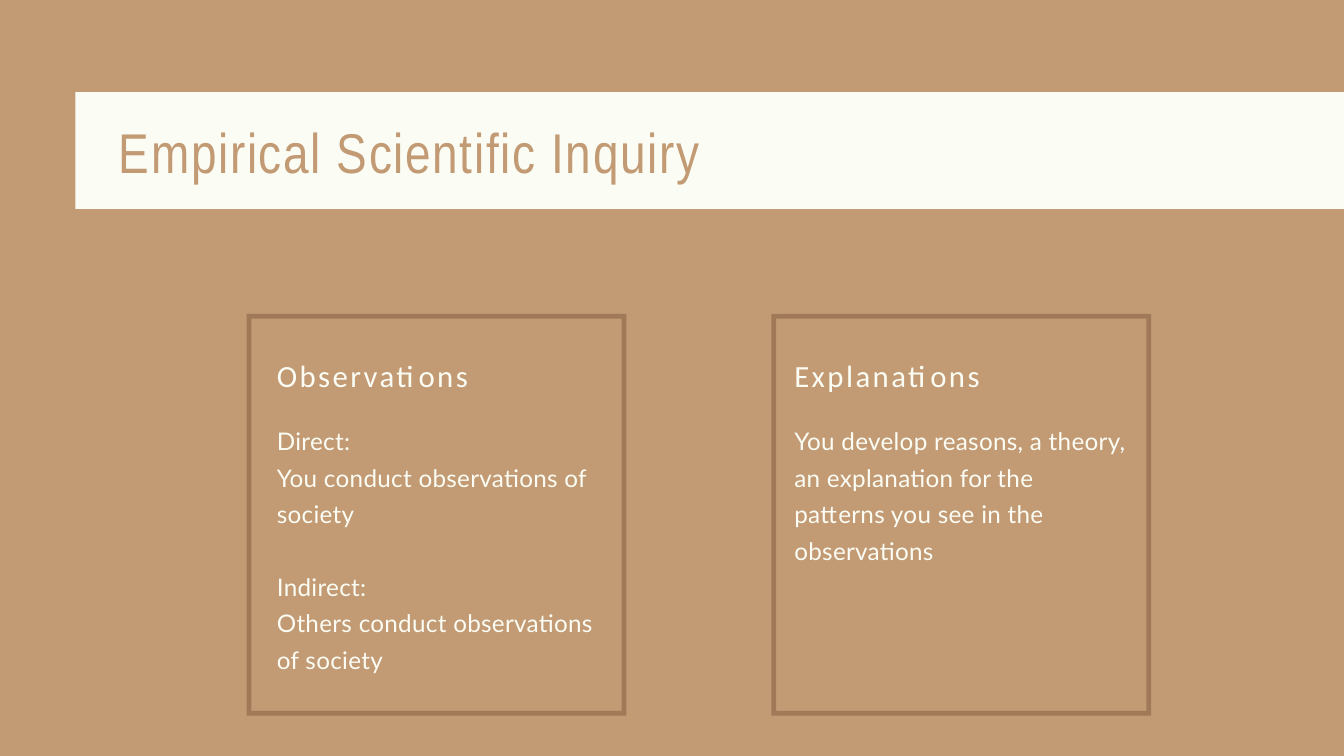
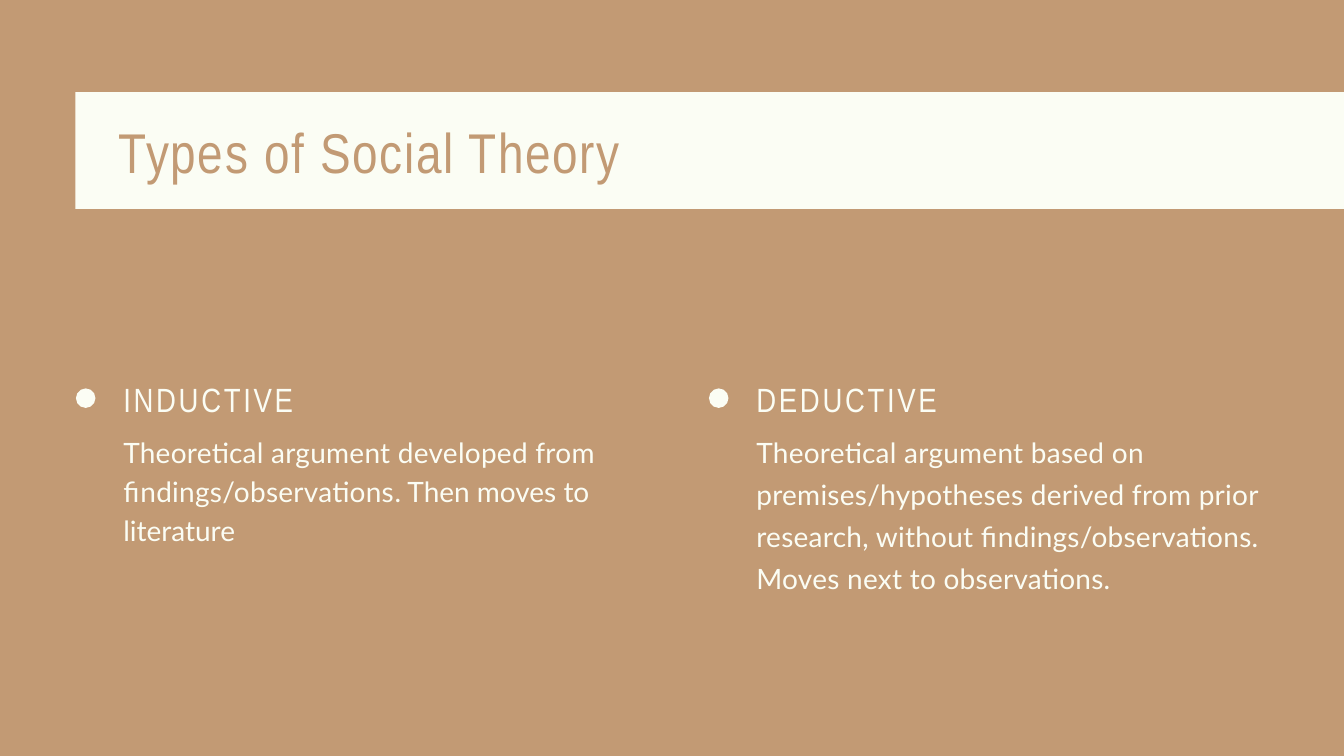
from dataclasses import dataclass

from lxml import etree
from pptx import Presentation
from pptx import util as u
from pptx.dml.color import RGBColor
from pptx.enum import shapes, text
from pptx.oxml import ns

# Grid: 80 columns by 45 rows of square cells
COLS, ROWS = 80, 45
CELL = u.Inches(0.25)

# Shared colours and fonts
SAND, IVORY, BROWN = "C29A74", "FBFDF4", "532E1D"
NARROW, SANS, BODY = "Arial Narrow", "Calibri", "Lato"
COMPARISON_LAYOUT = 4  # a title, then two pairs of heading and body


@dataclass
class Box:
    col: float
    row: float
    cols: float
    rows: float

    def emu(self) -> list[int]:
        return [round(n * CELL) for n in (self.col, self.row, self.cols, self.rows)]


@dataclass
class Style:
    font: str
    size: float
    leading: float
    tracking: float
    colour: str = IVORY


@dataclass
class Para:
    text: str
    tail: str = ""  # closing words set without tracking
    before: float = 0


@dataclass
class Column:
    heading: str
    paras: list[Para]
    heading_box: Box
    body_box: Box
    body_style: Style
    marker: Box  # the frame or dot beside the text


BAND = Box(4.48, 5.48, COLS - 4.48, 6.96)
TITLE_BOX = Box(7.08, 6.52, 65, 4.28)
TITLE = Style(NARROW, 60, 81, 1.8, SAND)
CARD_HEADING = Style(SANS, 33, 42.9, 2.6)
CARD_BODY = Style(BODY, 26, 39, 0.3)
TYPE_HEADING = Style(NARROW, 36, 46.8, 2.9)


def paint(fill, colour: str, opacity: float = 1) -> None:
    fill.solid()
    fill.fore_color.rgb = RGBColor.from_string(colour)
    if opacity < 1:
        clr = fill._xPr.find(".//" + ns.qn("a:srgbClr"))
        etree.SubElement(clr, ns.qn("a:alpha"), val=str(round(opacity * 100000)))


def add_mark(s, kind, box: Box, colour: str, opacity: float = 1):
    """Draw a preset shape without outline, behind the text."""
    sp = s.shapes.add_shape(kind, *box.emu())
    sp.shadow.inherit = False
    sp.line.fill.background()
    paint(sp.fill, colour, opacity)
    s.shapes.title._element.addprevious(sp._element)
    return sp


def add_run(p, words: str, *, style: Style, tracking: float) -> None:
    r = p.add_run()
    r.text = words
    r.font.name, r.font.size, r.font.bold = style.font, u.Pt(style.size), False
    r.font.color.rgb = RGBColor.from_string(style.colour)
    r.font._element.set("spc", str(round(tracking * 100)))


def write(sp, paras: list[Para], *, box: Box, style: Style) -> None:
    """Place a placeholder and fill it with plain, left-aligned paragraphs."""
    sp.left, sp.top, sp.width, sp.height = box.emu()
    tf = sp.text_frame
    tf.word_wrap = True
    tf.auto_size = text.MSO_AUTO_SIZE.NONE
    tf.vertical_anchor = text.MSO_ANCHOR.TOP
    tf.margin_left = tf.margin_top = tf.margin_right = tf.margin_bottom = 0
    for i, para in enumerate(paras):
        p = tf.add_paragraph() if i else tf.paragraphs[0]
        pPr = p._p.get_or_add_pPr()
        pPr.set("marL", "0")
        pPr.set("indent", "0")
        etree.SubElement(pPr, ns.qn("a:buNone"))
        p.alignment = text.PP_ALIGN.LEFT
        p.line_spacing = u.Pt(style.leading)
        p.space_before, p.space_after = u.Pt(para.before), u.Pt(0)
        add_run(p, para.text, style=style, tracking=style.tracking)
        if para.tail:
            add_run(p, para.tail, style=style, tracking=0)


def add_slide(prs, title: str, columns: list[Column], heading_style: Style):
    """Add the title band and both text columns."""
    s = prs.slides.add_slide(prs.slide_layouts[COMPARISON_LAYOUT])
    add_mark(s, shapes.MSO_SHAPE.RECTANGLE, BAND, IVORY)
    write(s.shapes.title, [Para(title)], box=TITLE_BOX, style=TITLE)
    for i, c in enumerate(columns):
        heading, body = s.placeholders[2 * i + 1], s.placeholders[2 * i + 2]
        write(heading, [Para(c.heading)], box=c.heading_box, style=heading_style)
        write(body, c.paras, box=c.body_box, style=c.body_style)
    return s


def card(heading: str, paras: list[Para], *, frame_col: float, text_col: float,
         rows: float) -> Column:
    return Column(heading, paras, Box(text_col, 21.04, 19.8, 2.28),
                  Box(text_col, 24.96, 19.8, rows), CARD_BODY,
                  Box(frame_col, 18.68, 22.6, 23.92))


def theory(heading: str, para: Para, *, dot_col: float, body_row: float,
           rows: float, leading: float) -> Column:
    text_col = dot_col + 2.82
    return Column(heading, [para], Box(text_col, 22.36, 30.48, 2.52),
                  Box(text_col, body_row, 30.48, rows),
                  Style(BODY, 30, leading, 0.3),
                  Box(dot_col, 23.12, 1.16, 1.16))


def inquiry_slide(prs) -> None:
    cards = [
        card("Observations", [
            Para("Direct:"),
            Para("You conduct observations of society"),
            Para("Indirect:", before=CARD_BODY.leading),
            Para("Others conduct observations of society"),
        ], frame_col=14.68, text_col=16.48, rows=15),
        card("Explanations", [
            Para("You develop reasons, a theory, an explanation for the "
                 "patterns you see in the observations"),
        ], frame_col=45.92, text_col=47.28, rows=8.52),
    ]
    s = add_slide(prs, "Empirical Scientific Inquiry", cards, CARD_HEADING)
    for c in cards:
        frame = add_mark(s, shapes.MSO_SHAPE.FRAME, c.marker, BROWN, opacity=0.3)
        frame.adjustments[0] = 0.28 / c.marker.cols


def theory_slide(prs) -> None:
    theories = [
        theory("INDUCTIVE", Para(
            "Theoretical argument developed from findings/observations",
            tail=". Then moves to literature"),
            dot_col=4.52, body_row=25.56, rows=6.88, leading=42),
        theory("DEDUCTIVE", Para(
            "Theoretical argument based on premises/hypotheses derived from "
            "prior research, without findings/observations. Moves next to "
            "observations."),
            dot_col=42.2, body_row=25.44, rows=9.8, leading=45),
    ]
    s = add_slide(prs, "Types of Social Theory", theories, TYPE_HEADING)
    for t in theories:
        add_mark(s, shapes.MSO_SHAPE.OVAL, t.marker, IVORY)


def main() -> None:
    prs = Presentation()
    prs.slide_width, prs.slide_height = COLS * CELL, ROWS * CELL
    paint(prs.slide_master.background.fill, SAND)
    inquiry_slide(prs)
    theory_slide(prs)
    prs.save("out.pptx")


if __name__ == "__main__":
    main()
